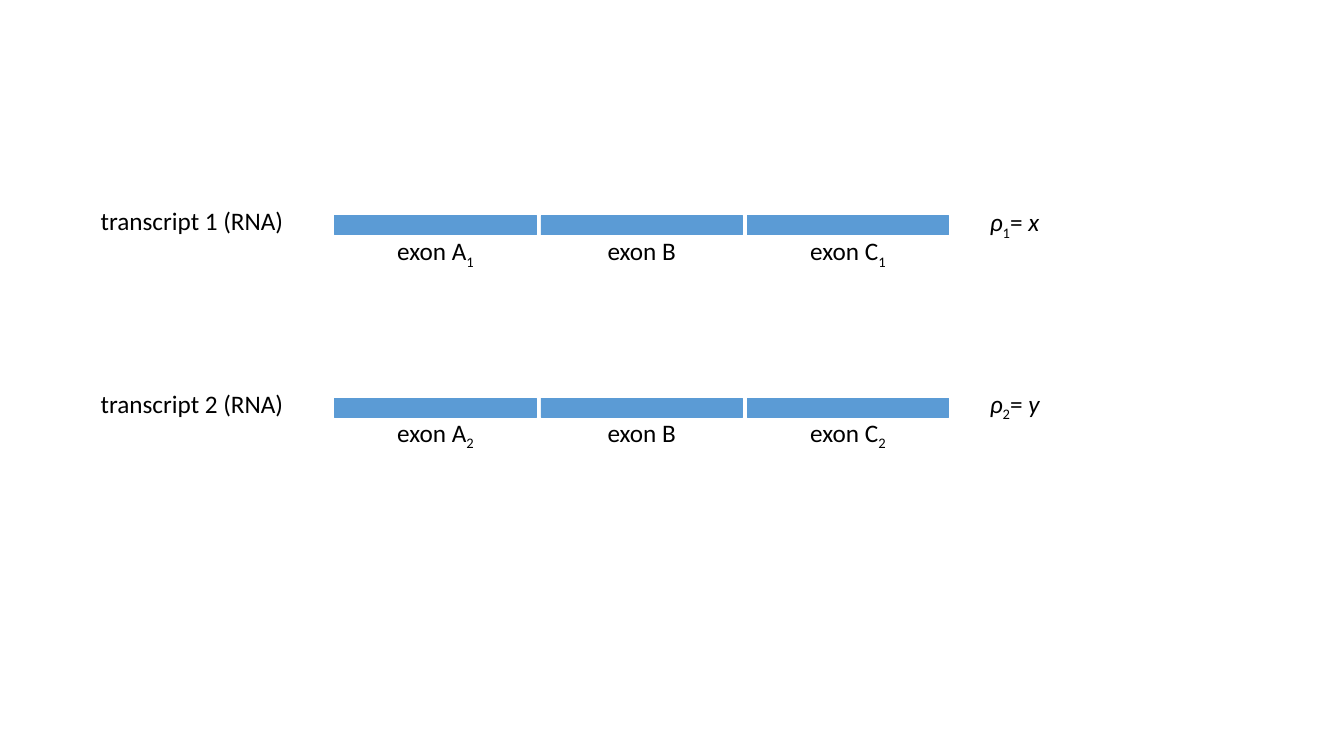
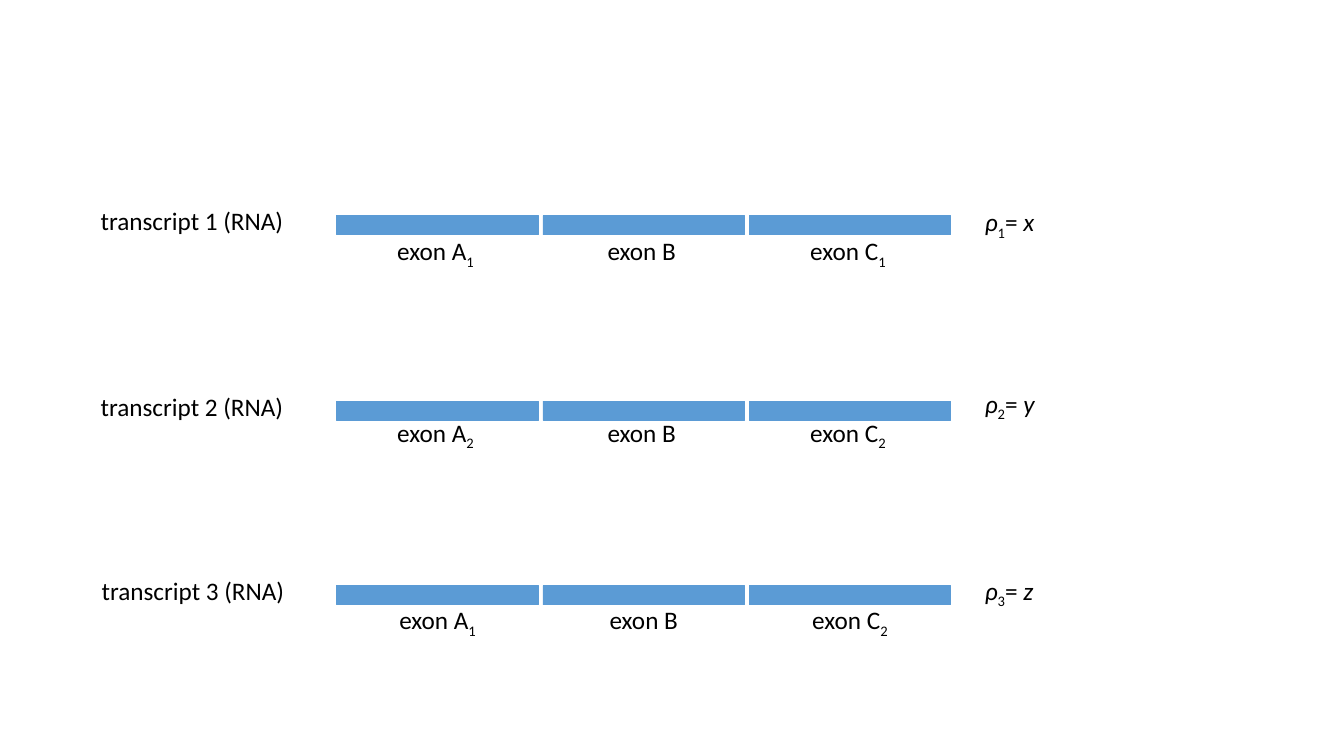
from pptx import Presentation
from pptx.dml.color import RGBColor
from pptx.enum.shapes import MSO_SHAPE
from pptx.enum.text import MSO_AUTO_SIZE, PP_ALIGN
from pptx.util import Inches, Pt

RECTANGLE = MSO_SHAPE.RECTANGLE
FIT_SHAPE = MSO_AUTO_SIZE.SHAPE_TO_FIT_TEXT
LEFT, CENTER = PP_ALIGN.LEFT, PP_ALIGN.CENTER

COLORS = {"exon": "5B9BD5", "text": "000000"}
FONT, FONT_SIZE = "Calibri", 18
NORMAL, ITALIC, SUBSCRIPT = "normal", "italic", "subscript"

EXON_WIDTH, EXON_HEIGHT, EXON_PITCH = 2, 0.19, 2.045
TEXT_HEIGHT, SIDE_WIDTH, LABEL_WIDTH = 0.4, 2.66, 1.08
NAME_LEFT, LABEL_LEFT = 0.9, 3.78
NAME_RISE, LABEL_DROP = 0.15, 0.29

# Row: number, symbol, exon A and C variants, bar top, text top, text shift
SLIDES = [
    {"bar_left": 3.32, "density_left": 9.72, "rows": [
        ("1", "x", "1", "1", 2.14, 2, 0),
        ("2", "y", "2", "2", 3.95, 3.8, 0),
    ]},
    {"bar_left": 3.34, "density_left": 9.67, "rows": [
        ("1", "x", "1", "1", 2.14, 2, 0),
        ("2", "y", "2", "2", 3.98, 3.8, 0),
        ("3", "z", "1", "2", 5.81, 5.66, 0.02),
    ]},
]


class TranscriptDeck:
    def __init__(self):
        self.presentation = Presentation()
        self.presentation.slide_width = Inches(13.33)
        self.presentation.slide_height = Inches(7.5)
        self.slide = None

    def new_slide(self):
        blank = self.presentation.slide_layouts[6]
        self.slide = self.presentation.slides.add_slide(blank)

    def exon_bar(self, left, top):
        shape = self.slide.shapes.add_shape(
            RECTANGLE, Inches(left), Inches(top),
            Inches(EXON_WIDTH), Inches(EXON_HEIGHT))
        shape.shadow.inherit = False
        color = RGBColor.from_string(COLORS["exon"])
        shape.fill.solid()
        shape.fill.fore_color.rgb = color
        shape.line.color.rgb = color
        shape.line.width = Pt(0.5)

    def text(self, left, top, width, parts, align=LEFT):
        """Add one line of text made of (wording, style) parts."""
        box = self.slide.shapes.add_textbox(
            Inches(left), Inches(top), Inches(width), Inches(TEXT_HEIGHT))
        text_frame = box.text_frame
        text_frame.word_wrap = True
        text_frame.auto_size = FIT_SHAPE
        paragraph = text_frame.paragraphs[0]
        paragraph.alignment = align
        for wording, style in parts:
            run = paragraph.add_run()
            run.text = wording
            run.font.name = FONT
            run.font.size = Pt(FONT_SIZE)
            run.font.color.rgb = RGBColor.from_string(COLORS["text"])
            run.font.italic = style == ITALIC
            if style == SUBSCRIPT:
                run._r.get_or_add_rPr().set("baseline", "-25000")

    def transcript(self, bar_left, density_left, row):
        """Draw a name, three labelled exons and the density of one transcript."""
        number, symbol, variant_a, variant_c, bar_top, text_top, shift = row
        self.text(NAME_LEFT + shift / 2, bar_top - NAME_RISE, SIDE_WIDTH,
                  [(f"transcript {number} (RNA)", NORMAL)])
        exons = [("A", variant_a), ("B", None), ("C", variant_c)]
        for index, (letter, variant) in enumerate(exons):
            offset = index * EXON_PITCH
            self.exon_bar(bar_left + offset, bar_top)
            parts = [(f"exon {letter}", NORMAL)]
            if variant:
                parts.append((variant, SUBSCRIPT))
            self.text(LABEL_LEFT + shift + offset, text_top + LABEL_DROP,
                      LABEL_WIDTH, parts, CENTER)
        self.text(density_left, text_top, SIDE_WIDTH,
                  [("ρ", ITALIC), (number, SUBSCRIPT),
                   ("= ", NORMAL), (symbol, ITALIC)])


def main():
    deck = TranscriptDeck()
    for content in SLIDES:
        deck.new_slide()
        for row in content["rows"]:
            deck.transcript(content["bar_left"], content["density_left"], row)
    deck.presentation.save("out.pptx")


if __name__ == "__main__":
    main()
